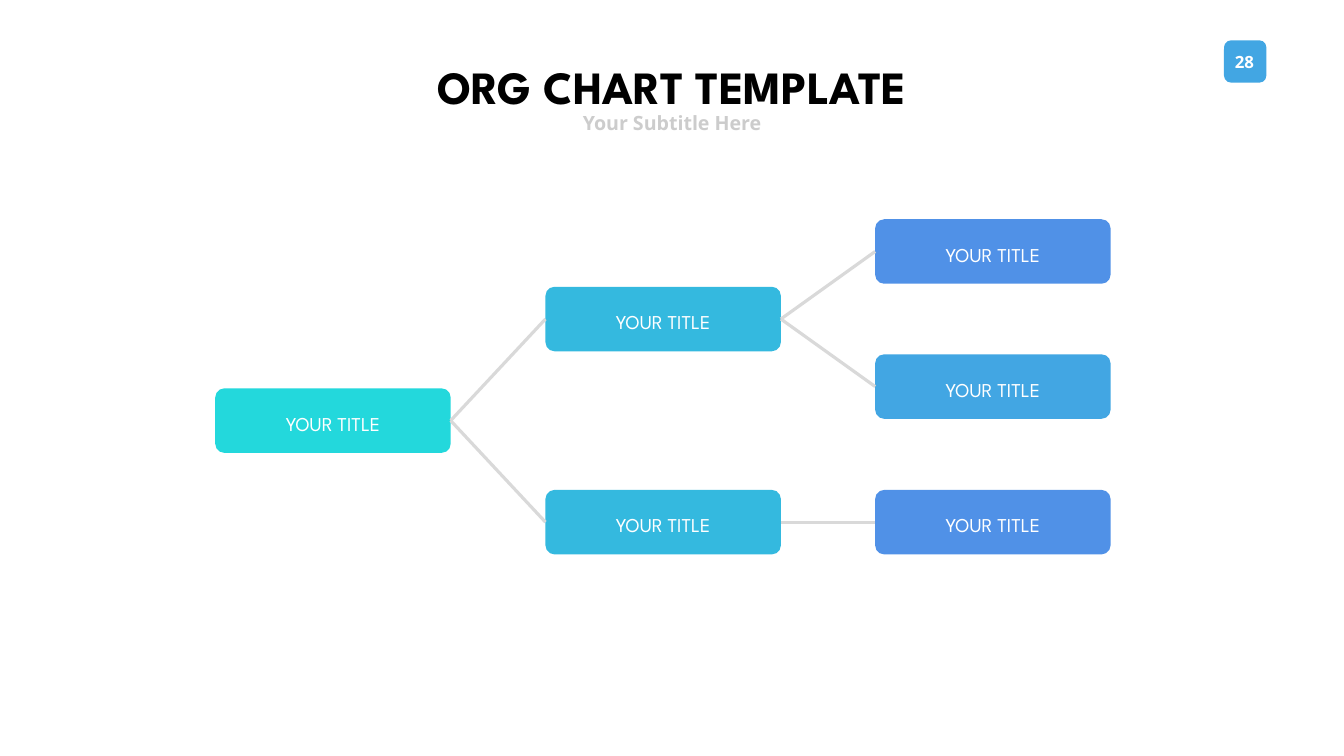
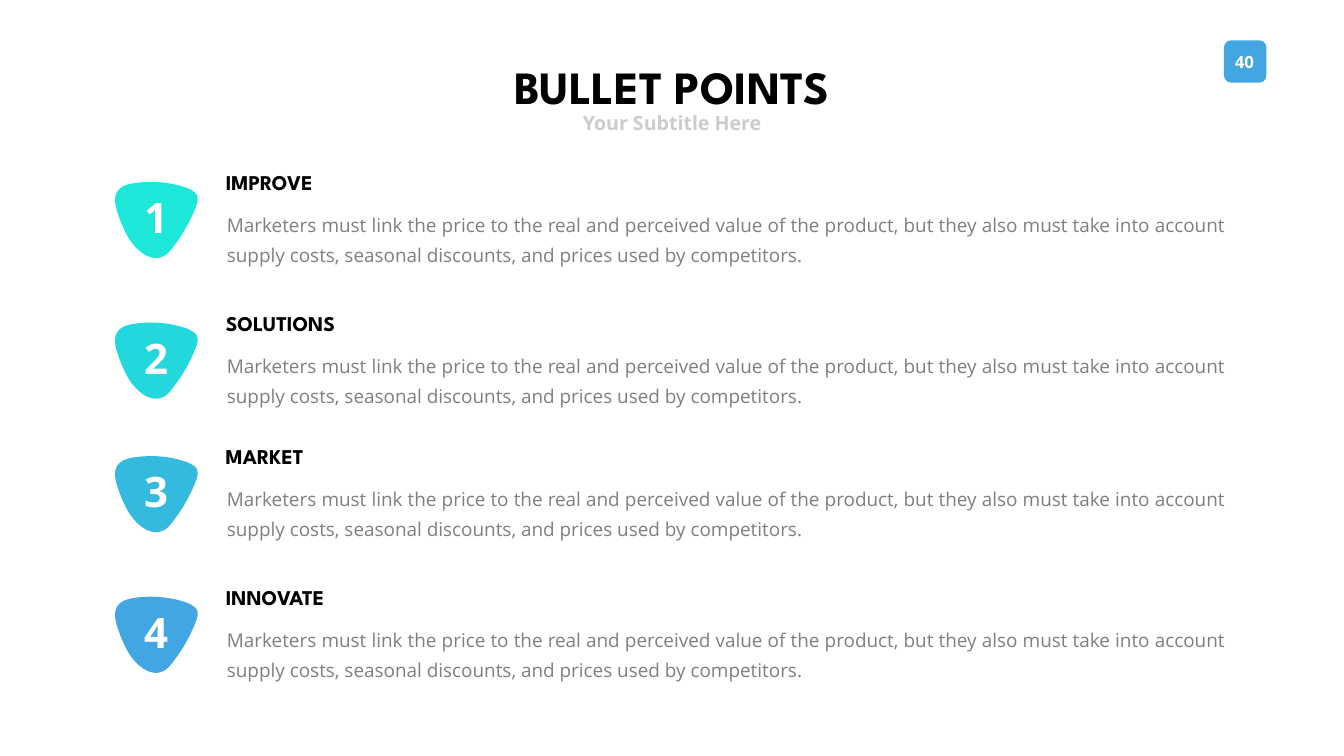
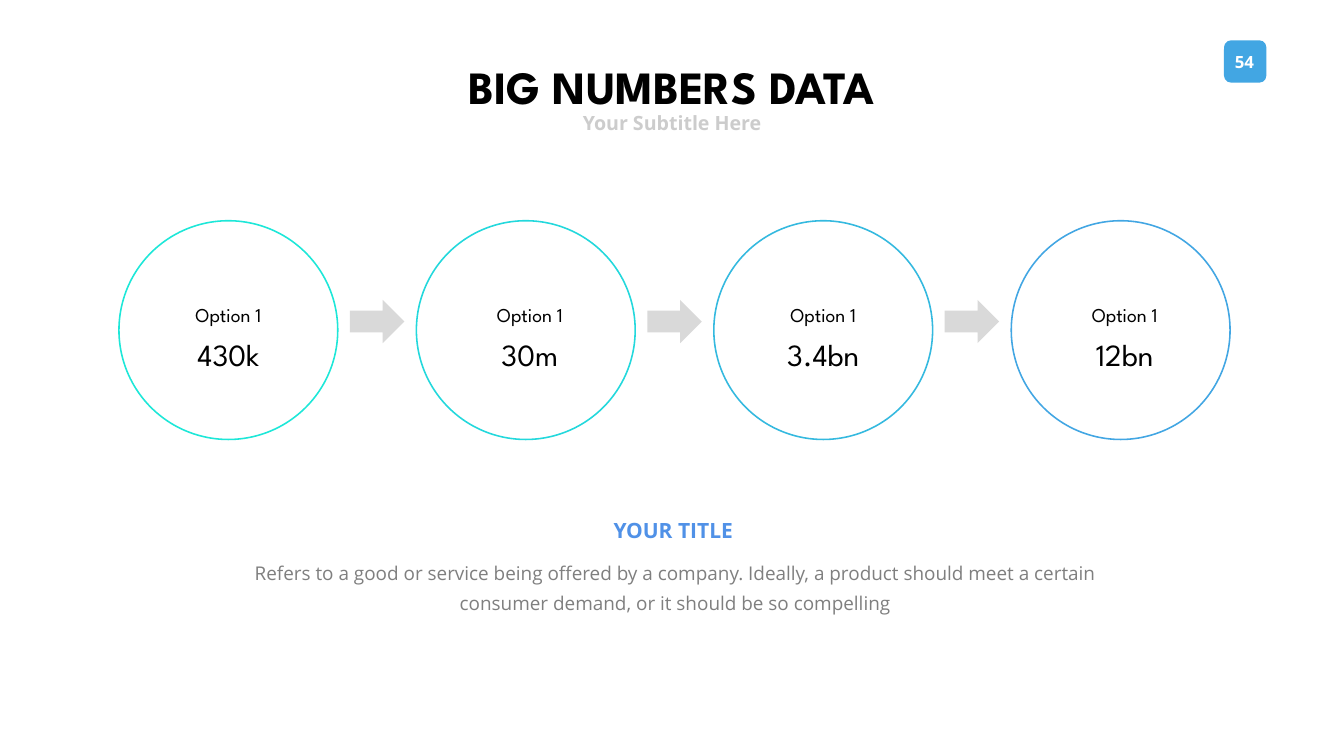
from lxml import etree
from pptx import Presentation
from pptx.dml.color import RGBColor
from pptx.enum.shapes import MSO_CONNECTOR, MSO_SHAPE
from pptx.enum.text import MSO_ANCHOR, MSO_AUTO_SIZE, PP_ALIGN
from pptx.oxml.ns import qn
from pptx.util import Inches, Pt

SLIDE_W, SLIDE_H = 26.66, 15
HEADING_FONT, BODY_FONT = "League Spartan", "Open Sans"

AQUA = RGBColor(0x1D, 0xE7, 0xD8)
TURQUOISE = RGBColor(0x23, 0xD8, 0xDC)
CYAN = RGBColor(0x34, 0xB9, 0xDF)
SKY = RGBColor(0x42, 0xA6, 0xE3)
BLUE = RGBColor(0x50, 0x91, 0xE7)
BLACK = RGBColor(0, 0, 0)
WHITE = RGBColor(0xFF, 0xFF, 0xFF)
TEXT_GREY = RGBColor(0x7F, 0x7F, 0x7F)
SUBTITLE_GREY = RGBColor(0xCC, 0xCC, 0xCC)
LINE_GREY = RGBColor(0xD9, 0xD9, 0xD9)
PALETTE = [AQUA, TURQUOISE, CYAN, SKY]

SUBTITLE = "Your Subtitle Here"

# Each position: label, colour, positions below it
ORG_TREE = ("YOUR TITLE", TURQUOISE, [
    ("YOUR TITLE", CYAN, [
        ("YOUR TITLE", BLUE, []),
        ("YOUR TITLE", SKY, []),
    ]),
    ("YOUR TITLE", CYAN, [
        ("YOUR TITLE", BLUE, []),
    ]),
])
ORG_LEFTS = [4.27, 10.82, 17.36]
ORG_LEAF_TOPS = [4.35, 7.03, 9.72]
ORG_BOX_W, ORG_BOX_H = 4.67, 1.28

PRICING = ("Marketers must link the price to the real and perceived value of the product, "
           "but they also must take into account supply costs, seasonal discounts, "
           "and prices used by competitors.")
# Heading, heading width, body, top of the row
POINTS = [
    ("IMPROVE", 2.25, PRICING, 3.31),
    ("SOLUTIONS", 2.78, PRICING, 6.1),
    ("MARKET", 2.06, PRICING, 8.75),
    ("INNOVATE", 2.55, PRICING, 11.54),
]
# Rounded triangle, from the top of its row: start, then cubic curves
MARKER_START = (2.52, 1.36)
MARKER_CURVES = [
    [(2.43, 1.19), (2.36, 1.01), (2.31, 0.84)],
    [(2.28, 0.73), (2.26, 0.6), (2.32, 0.5)],
    [(2.38, 0.39), (2.51, 0.35), (2.63, 0.33)],
    [(2.99, 0.27), (3.37, 0.3), (3.71, 0.42)],
    [(3.78, 0.45), (3.86, 0.49), (3.9, 0.55)],
    [(3.9, 0.56), (3.9, 0.56), (3.91, 0.57)],
    [(3.94, 0.64), (3.91, 0.73), (3.88, 0.81)],
    [(3.77, 1.08), (3.63, 1.34), (3.45, 1.57)],
    [(3.38, 1.67), (3.3, 1.77), (3.18, 1.8)],
    [(3.08, 1.83), (2.97, 1.8), (2.88, 1.75)],
    [(2.73, 1.66), (2.61, 1.52), MARKER_START],
]

# Option, value, value width, middle of the caption
BIG_NUMBERS = [
    ("Option 1", "430k", 1.87, 4.53),
    ("Option 1", "30m", 1.67, 10.51),
    ("Option 1", "3.4bn", 2.07, 16.33),
    ("Option 1", "12bn", 1.75, 22.31),
]
CIRCLE_LEFT, CIRCLE_TOP, CIRCLE_SIZE, CIRCLE_STEP = 2.36, 4.38, 4.34, 5.9
ARROW_W, ARROW_H, ARROW_TOP = 1.08, 0.86, 5.95
SUMMARY_TITLE = "YOUR TITLE"
SUMMARY = ("Refers to a good or service being offered by a company. Ideally, a product "
           "should meet a certain consumer demand, or it should be so compelling")


def box(left, top, width, height):
    return [Inches(v) for v in (left, top, width, height)]


def centred(middle, top, width, height):
    return box(middle - width / 2, top, width, height)


def write(shape, text, size, font, color, bold=False, align=PP_ALIGN.CENTER,
          anchor=MSO_ANCHOR.MIDDLE, line_spacing=None, wrap=True):
    """Fill the shape with one formatted paragraph and return that paragraph."""
    frame = shape.text_frame
    frame.word_wrap = wrap
    frame.vertical_anchor = anchor
    frame.text = text
    paragraph = frame.paragraphs[0]
    paragraph.alignment = align
    paragraph.line_spacing = line_spacing
    style = paragraph.font
    style.name, style.size, style.bold = font, Pt(size), bold
    style.color.rgb = color
    return paragraph


def add_label(slide, place, *args, **kwargs):
    label = slide.shapes.add_textbox(*place)
    write(label, *args, wrap=False, **kwargs)
    label.text_frame.auto_size = MSO_AUTO_SIZE.SHAPE_TO_FIT_TEXT


def add_body(slide, place, text, align):
    body = slide.shapes.add_textbox(*place)
    write(body, text, 27, BODY_FONT, TEXT_GREY, align=align,
          anchor=MSO_ANCHOR.TOP, line_spacing=Pt(43))
    frame = body.text_frame
    frame.auto_size = MSO_AUTO_SIZE.SHAPE_TO_FIT_TEXT
    frame.margin_left = frame.margin_right = Inches(0.24)
    frame.margin_top = frame.margin_bottom = Inches(0.12)


def paint(shape, color):
    shape.shadow.inherit = False
    shape.fill.solid()
    shape.fill.fore_color.rgb = color
    shape.line.fill.background()


def add_filled(slide, preset, place, color):
    shape = slide.shapes.add_shape(preset, *place)
    paint(shape, color)
    return shape


def add_slide(prs, title, title_width, number):
    slide = prs.slides.add_slide(prs.slide_layouts[5])
    add_filled(slide, MSO_SHAPE.ROUNDED_RECTANGLE, box(24.28, 0.8, 0.84, 0.84), SKY)
    add_label(slide, box(24.16, 0.95, 1.05, 0.56), str(number), 24, BODY_FONT, WHITE, bold=True)

    heading = slide.shapes.title
    heading.left, heading.top, heading.width, heading.height = centred(
        SLIDE_W / 2, 0.81, title_width, 1.5)
    write(heading, title, 66, HEADING_FONT, BLACK, bold=True,
          anchor=MSO_ANCHOR.TOP, line_spacing=Pt(100), wrap=False)
    heading.text_frame.auto_size = MSO_AUTO_SIZE.NONE
    add_label(slide, centred(SLIDE_W / 2, 2.15, 3.78, 0.57),
              SUBTITLE, 28, BODY_FONT, SUBTITLE_GREY, bold=True)
    return slide


def link(slide, parent, child):
    line = slide.shapes.add_connector(MSO_CONNECTOR.STRAIGHT, 0, 0, 0, 0)
    line.begin_connect(parent, 3)
    line.end_connect(child, 1)
    line.line.color.rgb = LINE_GREY
    line.line.width = Pt(4.5)
    etree.SubElement(line._element.spPr, qn("a:effectLst"))


def add_position(slide, position, leaf_tops, column=0):
    """Draw a position and all below it; return its box and its top."""
    label, color, below = position
    branches = [add_position(slide, child, leaf_tops, column + 1) for child in below]
    if branches:
        top = sum(child_top for _, child_top in branches) / len(branches)
    else:
        top = next(leaf_tops)

    card = add_filled(slide, MSO_SHAPE.ROUNDED_RECTANGLE,
                      box(ORG_LEFTS[column], top, ORG_BOX_W, ORG_BOX_H), color)
    card.adjustments[0] = 0.14
    paragraph = write(card, label, 28, HEADING_FONT, WHITE, line_spacing=0.9)
    paragraph.space_after = Pt(10)
    card.text_frame.margin_top = Inches(0.28)
    card.text_frame.margin_bottom = Inches(0.11)
    for child_card, _ in branches:
        link(slide, card, child_card)
    return card, top


def add_marker(slide, top, color):
    """Draw the rounded triangle, turning each three points into a cubic curve."""
    points = [(Inches(x), Inches(top + y)) for curve in MARKER_CURVES for x, y in curve]
    builder = slide.shapes.build_freeform(Inches(MARKER_START[0]), Inches(top + MARKER_START[1]))
    builder.add_line_segments(points, close=True)
    marker = builder.convert_to_shape()
    segments = list(marker._element.iter(qn("a:lnTo")))
    for i in range(0, len(segments), 3):
        curve = etree.Element(qn("a:cubicBezTo"))
        segments[i].addprevious(curve)
        for segment in segments[i:i + 3]:
            curve.append(segment[0])
            segment.getparent().remove(segment)
    paint(marker, color)


def build_org_chart(prs):
    slide = add_slide(prs, "ORG CHART TEMPLATE", 11.21, 28)
    add_position(slide, ORG_TREE, iter(ORG_LEAF_TOPS))


def build_bullet_points(prs):
    slide = add_slide(prs, "BULLET POINTS", 7.55, 40)
    for number, ((heading, width, body, top), color) in enumerate(zip(POINTS, PALETTE), 1):
        add_marker(slide, top, color)
        add_label(slide, box(2.76, top + 0.44, 0.68, 1.11), str(number), 60, BODY_FONT,
                  WHITE, bold=True, align=PP_ALIGN.LEFT)
        add_label(slide, box(4.38, top, width, 0.61), heading, 30, HEADING_FONT,
                  BLACK, bold=True, align=PP_ALIGN.LEFT)
        add_body(slide, box(4.26, top + 0.66, 20.28, 1.45), body, PP_ALIGN.JUSTIFY)


def build_big_numbers(prs):
    slide = add_slide(prs, "BIG NUMBERS DATA", 9.83, 54)
    gap = CIRCLE_STEP - CIRCLE_SIZE
    for i, ((option, value, value_width, middle), color) in enumerate(zip(BIG_NUMBERS, PALETTE)):
        left = CIRCLE_LEFT + i * CIRCLE_STEP
        circle = slide.shapes.add_shape(
            MSO_SHAPE.OVAL, *box(left, CIRCLE_TOP, CIRCLE_SIZE, CIRCLE_SIZE))
        circle.shadow.inherit = False
        circle.fill.background()
        circle.line.color.rgb = color
        circle.line.width = Pt(2.25)
        add_label(slide, centred(middle, 5.95, 1.88, 0.57), option, 28, HEADING_FONT, BLACK)
        add_label(slide, centred(middle, 6.6, value_width, 0.84), value, 44, HEADING_FONT, BLACK)
        if i:
            add_filled(slide, MSO_SHAPE.RIGHT_ARROW,
                       centred(left - gap / 2, ARROW_TOP, ARROW_W, ARROW_H), LINE_GREY)
    add_label(slide, box(12.06, 10.21, 2.59, 0.61), SUMMARY_TITLE, 30, BODY_FONT, BLUE, bold=True)
    add_body(slide, box(4, 10.87, 18.78, 1.45), SUMMARY, PP_ALIGN.CENTER)


def main():
    prs = Presentation()
    prs.slide_width, prs.slide_height = Inches(SLIDE_W), Inches(SLIDE_H)
    build_org_chart(prs)
    build_bullet_points(prs)
    build_big_numbers(prs)
    prs.save("out.pptx")


if __name__ == "__main__":
    main()
